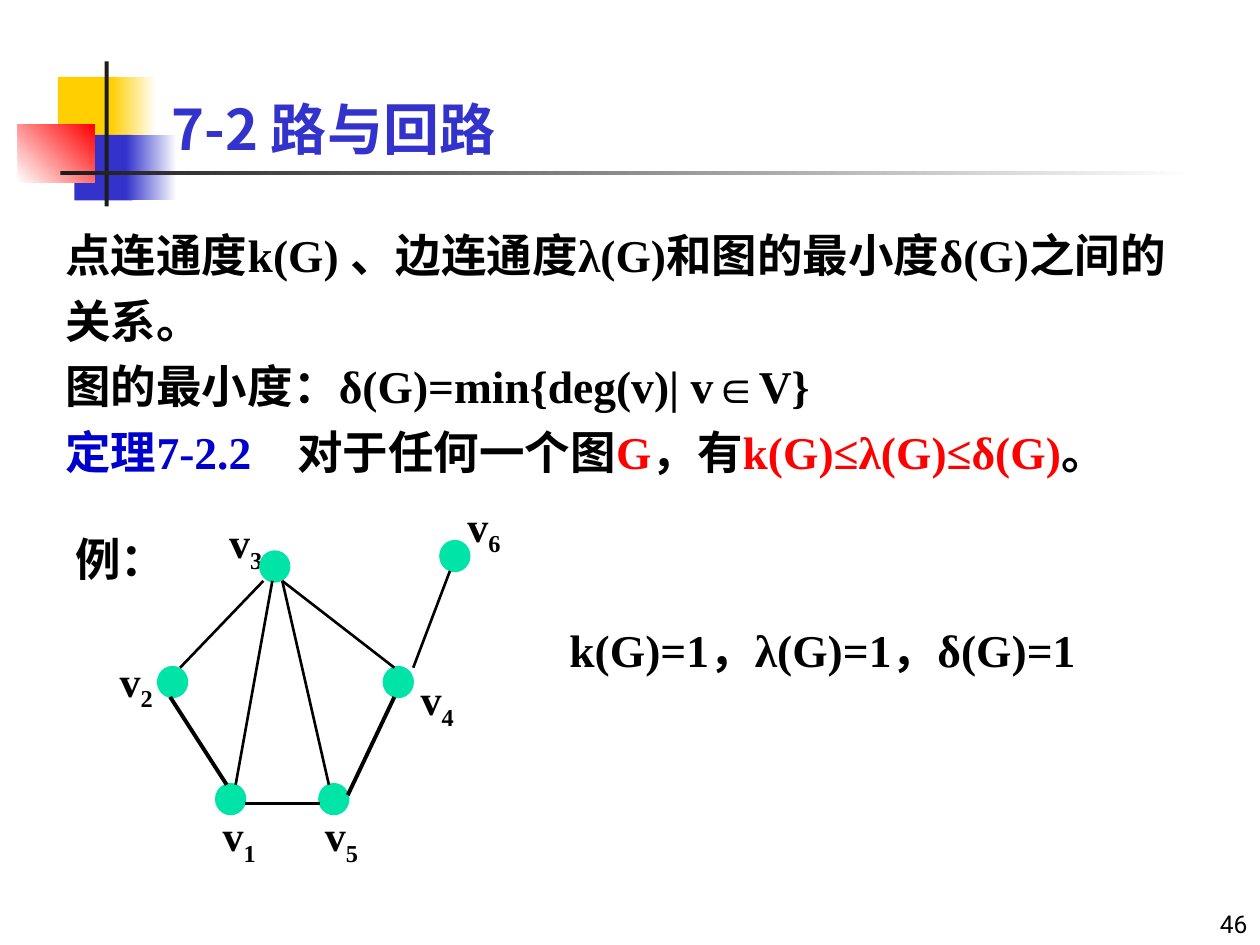
"""Build the slide on vertex connectivity, edge connectivity and minimum degree."""
import pptx
import pptx.dml.color
import pptx.enum.shapes
import pptx.enum.text
import pptx.oxml
import pptx.util
from pptx.util import Cm, Pt

THEME = {
    "ink": "000000", "dark": "1C1C1C", "blue": "3333CC", "gold": "FFCF01",
    "red": "FF0000", "term": "0000CC", "dot": "00E4A8", "white": "FFFFFF",
    "serif": "Times New Roman", "sans": "Roboto", "head": "Noto Sans CJK SC",
    "title": 32, "body": 26, "label": 24, "page": 14,
}

TITLE = "7-2 路与回路"
BODY = [
    [("点连通度k(G) 、边连通度λ(G)和图的最小度δ(G)之间的关系。", "ink")],
    [("图的最小度：δ(G)=min{deg(v)| v∈V}", "ink")],
    [("定理7-2.2　", "term"), ("对于任何一个图", "ink"), ("G", "red"),
     ("，有", "ink"), ("k(G)≤λ(G)≤δ(G)", "red"), ("。", "ink")],
]
EXAMPLE = "例："
RESULT = "k(G)=1，λ(G)=1，δ(G)=1"
PAGE = "46"

DECOR = [
    ((1.17, 1.55, 1.22, 1.32), ("gold",), 0),
    ((2.24, 1.55, 0.91, 1.32), ("gold", "white"), 0),
    ((1.5, 2.72, 1.17, 1.32), ("blue",), 0),
    ((2.54, 2.72, 1.02, 1.32), ("blue", "white"), 0),
    ((0.36, 2.51, 1.55, 1.17), ("white", "red"), 45),
    ((2.11, 1.24, 0.08, 2.92), ("dark",), 0),
    ((1.22, 3.45, 22.86, 0.08), ("dark", "white"), 0),
]

DOT = (0.56, 0.58)
LABEL = (1.27, 1.27)
NODES = {
    "1": ((4.37, 15.82), (4.19, 16.2)),
    "2": ((3.2, 13.46), (2.11, 13.08)),
    "3": ((5.26, 11.13), (4.32, 10.29)),
    "4": ((7.75, 13.46), (8.18, 13.46)),
    "5": ((6.45, 15.82), (6.25, 16.2)),
    "6": ((8.89, 10.92), (9.12, 9.96)),
}
THIN, THICK = 1.5, 2.25
EDGES = [
    ((5.31, 11.71), (3.63, 13.46), THIN),
    ((3.43, 14.05), (4.57, 15.82), THICK),
    ((4.93, 16.2), (6.45, 16.2), THIN),
    ((7.01, 16.03), (7.95, 14.05), THICK),
    ((8.33, 13.46), (9.07, 11.51), THIN),
    ((5.69, 11.71), (7.95, 13.46), THIN),
    ((5.49, 11.71), (4.75, 15.82), THIN),
    ((5.69, 11.71), (6.63, 15.82), THIN),
]

ALIGN = pptx.enum.text.PP_ALIGN
ANCHOR = pptx.enum.text.MSO_ANCHOR
SHAPE = pptx.enum.shapes.MSO_SHAPE


def tint(name):
    return pptx.dml.color.RGBColor.from_string(THEME[name])


def place(box):
    return [Cm(n) for n in box]


def style(para, size, face, color="ink", bold=True, align=ALIGN.LEFT):
    para.alignment = align
    font = para.font
    font.size, font.name, font.bold = Pt(THEME[size]), THEME[face], bold
    font.color.rgb = tint(color)


def add_text(slide, box, anchor=ANCHOR.TOP, wrap=True):
    frame = slide.shapes.add_textbox(*place(box)).text_frame
    frame.word_wrap = wrap
    frame.vertical_anchor = anchor
    return frame


def add_line(slide, text, box, size, face, anchor=ANCHOR.TOP, **look):
    para = add_text(slide, box, anchor).paragraphs[0]
    para.text = text
    style(para, size, face, **look)


def add_form(slide, kind, box, colors, angle=0):
    form = slide.shapes.add_shape(kind, *place(box))
    form.shadow.inherit = False
    form.line.fill.background()
    if len(colors) == 1:
        form.fill.solid()
        form.fill.fore_color.rgb = tint(colors[0])
    else:
        form.fill.gradient()
        form.fill.gradient_angle = angle
        for stop, color in zip(form.fill.gradient_stops, colors):
            stop.color.rgb = tint(color)
    return form


def add_title(slide):
    title = slide.shapes.title
    title.left, title.top, title.width, title.height = place((3.2, 0.2, 21.64, 3.18))
    frame = title.text_frame
    frame.text = TITLE
    frame.auto_size = pptx.enum.text.MSO_AUTO_SIZE.NONE
    frame.vertical_anchor = ANCHOR.BOTTOM
    style(frame.paragraphs[0], "title", "head", "blue")
    slide.shapes._spTree.append(title._element)


def add_body(slide):
    frame = add_text(slide, (1.07, 4.24, 22.86, 6.15))
    for index, parts in enumerate(BODY):
        para = frame.add_paragraph() if index else frame.paragraphs[0]
        style(para, "body", "serif")
        para.line_spacing = 1.2
        for text, color in parts:
            run = para.add_run()
            run.text = text
            run.font.color.rgb = tint(color)


def add_node(slide, digit, dot, label):
    para = add_text(slide, label + LABEL, wrap=False).paragraphs[0]
    style(para, "label", "serif", align=ALIGN.CENTER)
    for text in ("v", digit):
        run = para.add_run()
        run.text = text
    run._r.get_or_add_rPr().set("baseline", "-25000")
    form = add_form(slide, SHAPE.OVAL, dot + DOT, ("dot",))
    form.line.color.rgb = tint("dot")
    form.line.width = Pt(2)


def add_edge(slide, start, end, width):
    kind = pptx.enum.shapes.MSO_CONNECTOR.STRAIGHT
    edge = slide.shapes.add_connector(kind, *place(start + end))
    edge.line.color.rgb = tint("ink")
    edge.line.width = Pt(width)
    props = edge._element.spPr
    props.append(props.makeelement(pptx.oxml.ns.qn("a:effectLst"), {}))


def main():
    deck = pptx.Presentation()
    deck.slide_width, deck.slide_height = Cm(25.4), Cm(19.05)
    slide = deck.slides.add_slide(deck.slide_layouts[5])
    for box, colors, angle in DECOR:
        add_form(slide, SHAPE.RECTANGLE, box, colors, angle)
    add_line(slide, PAGE, (20.12, 17.78, 5.28, 1.27), "page", "sans",
             ANCHOR.BOTTOM, bold=False, align=ALIGN.RIGHT)
    add_title(slide)
    add_body(slide)
    for digit, (dot, label) in NODES.items():
        add_node(slide, digit, dot, label)
    for edge in EDGES:
        add_edge(slide, *edge)
    add_line(slide, EXAMPLE, (1.27, 10.59, 2.97, 1.35), "body", "sans")
    add_line(slide, RESULT, (11.23, 12.42, 10.74, 1.35), "body", "serif")
    deck.save("out.pptx")


if __name__ == "__main__":
    main()
